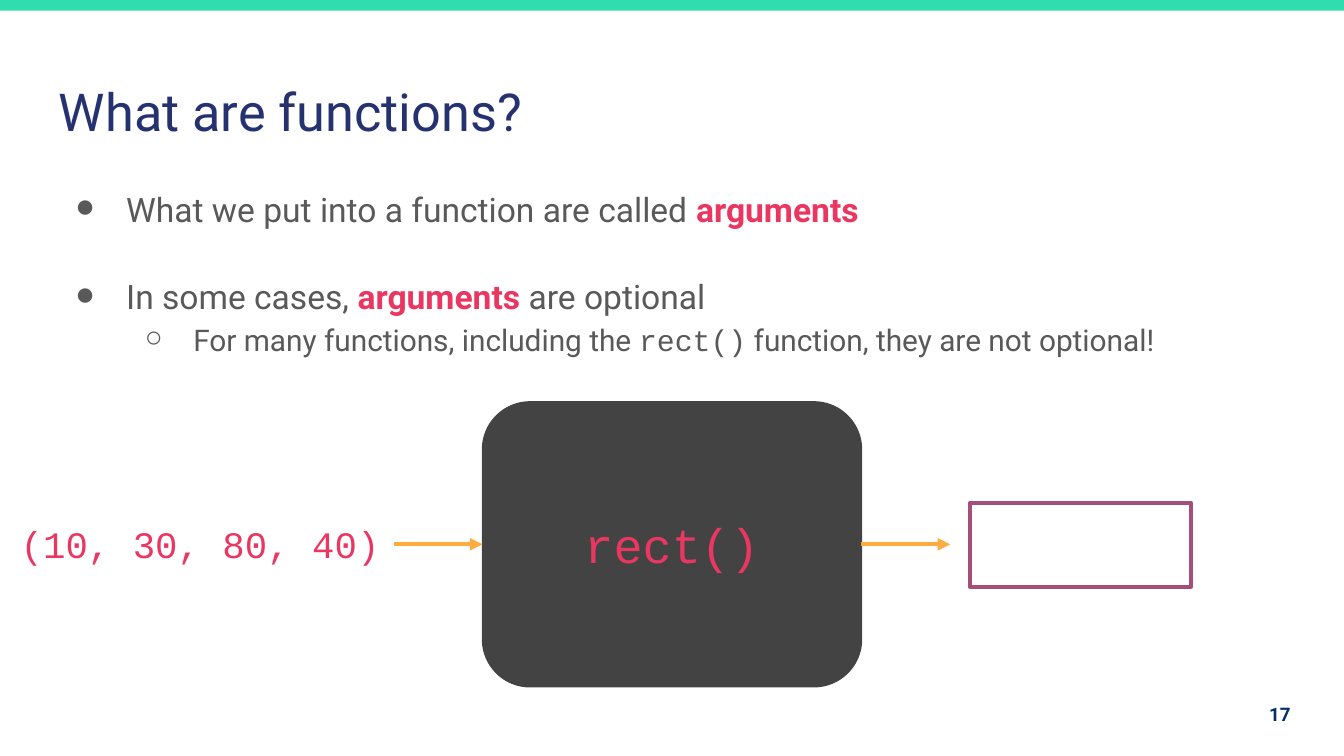
from lxml import etree
from pptx import Presentation
from pptx.dml.color import RGBColor
from pptx.enum.shapes import MSO_CONNECTOR, MSO_SHAPE
from pptx.enum.text import MSO_ANCHOR, PP_ALIGN
from pptx.oxml.ns import qn
from pptx.util import Inches, Pt

STRAIGHT = MSO_CONNECTOR.STRAIGHT
RECTANGLE = MSO_SHAPE.RECTANGLE
ROUNDED = MSO_SHAPE.ROUNDED_RECTANGLE
TOP, MIDDLE = MSO_ANCHOR.TOP, MSO_ANCHOR.MIDDLE
LEFT, CENTER, RIGHT = PP_ALIGN.LEFT, PP_ALIGN.CENTER, PP_ALIGN.RIGHT

COLORS = {
    "band": "30DDAE",
    "title": "25326F",
    "body": "595959",
    "accent": "E93761",
    "number": "032F62",
    "function": "434343",
    "arrow": "FFAB40",
    "result": "A64D79",
}
SANS, MONO = "Roboto", "Courier New"
FLOW_Y = 4.05
ARROW_LENGTH = 0.66


def color(name):
    return RGBColor.from_string(COLORS[name])


def add_run(paragraph, text, size=18, font=SANS, fill="body", bold=False):
    run = paragraph.add_run()
    run.text = text
    run.font.size = Pt(size)
    run.font.name = font
    run.font.bold = bold
    run.font.color.rgb = color(fill)


def prepare_frame(shape, anchor=TOP):
    frame = shape.text_frame
    frame.word_wrap = True
    frame.vertical_anchor = anchor
    frame.margin_left = frame.margin_right = Inches(0.1)
    frame.margin_top = frame.margin_bottom = Inches(0.1)
    return frame


def write_line(shape, text, align=LEFT, anchor=TOP, **style):
    paragraph = prepare_frame(shape, anchor).paragraphs[0]
    paragraph.alignment = align
    add_run(paragraph, text, **style)


def add_box(slide, left, top, width, height):
    return slide.shapes.add_textbox(
        Inches(left), Inches(top), Inches(width), Inches(height)
    )


def add_block(slide, kind, left, top, width, height, fill=None, line=None, weight=0.75):
    shape = slide.shapes.add_shape(
        kind, Inches(left), Inches(top), Inches(width), Inches(height)
    )
    shape.shadow.inherit = False
    if fill:
        shape.fill.solid()
        shape.fill.fore_color.rgb = color(fill)
    else:
        shape.fill.background()
    if line:
        shape.line.color.rgb = color(line)
        shape.line.width = Pt(weight)
    else:
        shape.line.fill.background()
    return shape


def add_arrow(slide, start):
    arrow = slide.shapes.add_connector(
        STRAIGHT,
        Inches(start), Inches(FLOW_Y), Inches(start + ARROW_LENGTH), Inches(FLOW_Y),
    )
    arrow.line.color.rgb = color("arrow")
    arrow.line.width = Pt(2.25)
    outline = arrow._element.spPr.find(qn("a:ln"))
    etree.SubElement(outline, qn("a:tailEnd"), type="triangle")
    etree.SubElement(arrow._element.spPr, qn("a:effectLst"))


def set_bullet(paragraph, mark, margin, indent):
    properties = paragraph._p.get_or_add_pPr()
    properties.set("marL", str(Inches(margin)))
    properties.set("indent", str(Inches(indent)))
    bullet_color = etree.SubElement(properties, qn("a:buClr"))
    etree.SubElement(bullet_color, qn("a:srgbClr"), val=COLORS["body"])
    etree.SubElement(properties, qn("a:buFont"), typeface=MONO)
    etree.SubElement(properties, qn("a:buChar"), char=mark)


def add_bullets(slide):
    keyword = {"fill": "accent", "bold": True}
    items = [
        (0, 0, [("What we put into a function are called ", {}), ("arguments", keyword)]),
        (0, 22, [("In some cases, ", {}), ("arguments", keyword), (" are optional", {})]),
        (1, 0, [
            ("For many functions, including the ", {"size": 16}),
            ("rect()", {"size": 16, "font": MONO}),
            (" function, they are not optional!", {"size": 16}),
        ]),
    ]
    levels = [("●", 0.5, -0.38), ("○", 1, -0.36)]
    frame = prepare_frame(add_box(slide, 0.34, 1.26, 9.32, 1.54))
    for index, (level, gap, runs) in enumerate(items):
        paragraph = frame.add_paragraph() if index else frame.paragraphs[0]
        paragraph.level = level
        set_bullet(paragraph, *levels[level])
        paragraph.line_spacing = 1.15
        paragraph.space_before = Pt(gap)
        for text, style in runs:
            add_run(paragraph, text, **style)


def add_flow(slide):
    function = add_block(
        slide, ROUNDED, 3.59, 2.99, 2.82, 2.12, fill="function", line="function"
    )
    function.adjustments[0] = 0.167
    write_line(function, "rect()", CENTER, MIDDLE, size=26, font=MONO, fill="accent")
    add_block(slide, RECTANGLE, 7.22, 3.74, 1.64, 0.63, line="result", weight=2.25)
    arguments = add_box(slide, 0.05, 3.78, 2.88, 0.54)
    write_line(arguments, "(10, 30, 80, 40)", CENTER, size=20, font=MONO, fill="accent")
    for start in (2.93, 6.41):
        add_arrow(slide, start)


def main():
    presentation = Presentation()
    presentation.slide_width = Inches(10)
    presentation.slide_height = Inches(10 * 9 / 16)
    slide = presentation.slides.add_slide(presentation.slide_layouts[6])
    add_block(slide, RECTANGLE, 0, 0, 10, 0.08, fill="band")
    title = add_box(slide, 0.34, 0.49, 9.32, 0.63)
    write_line(title, "What are functions?", size=28, fill="title")
    add_bullets(slide)
    number = add_box(slide, 9.1, 5.1, 0.6, 0.43)
    write_line(number, "17", RIGHT, MIDDLE, size=10, fill="number", bold=True)
    add_flow(slide)
    presentation.save("out.pptx")


if __name__ == "__main__":
    main()
